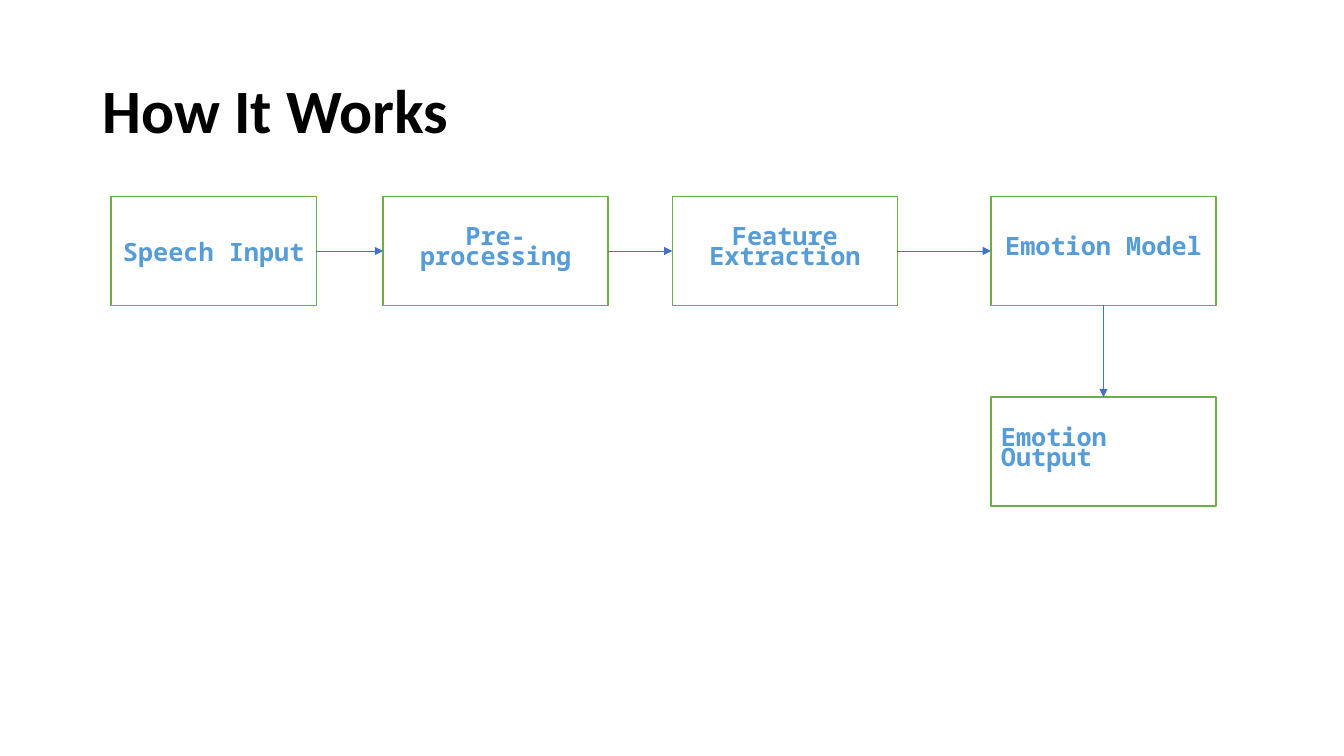
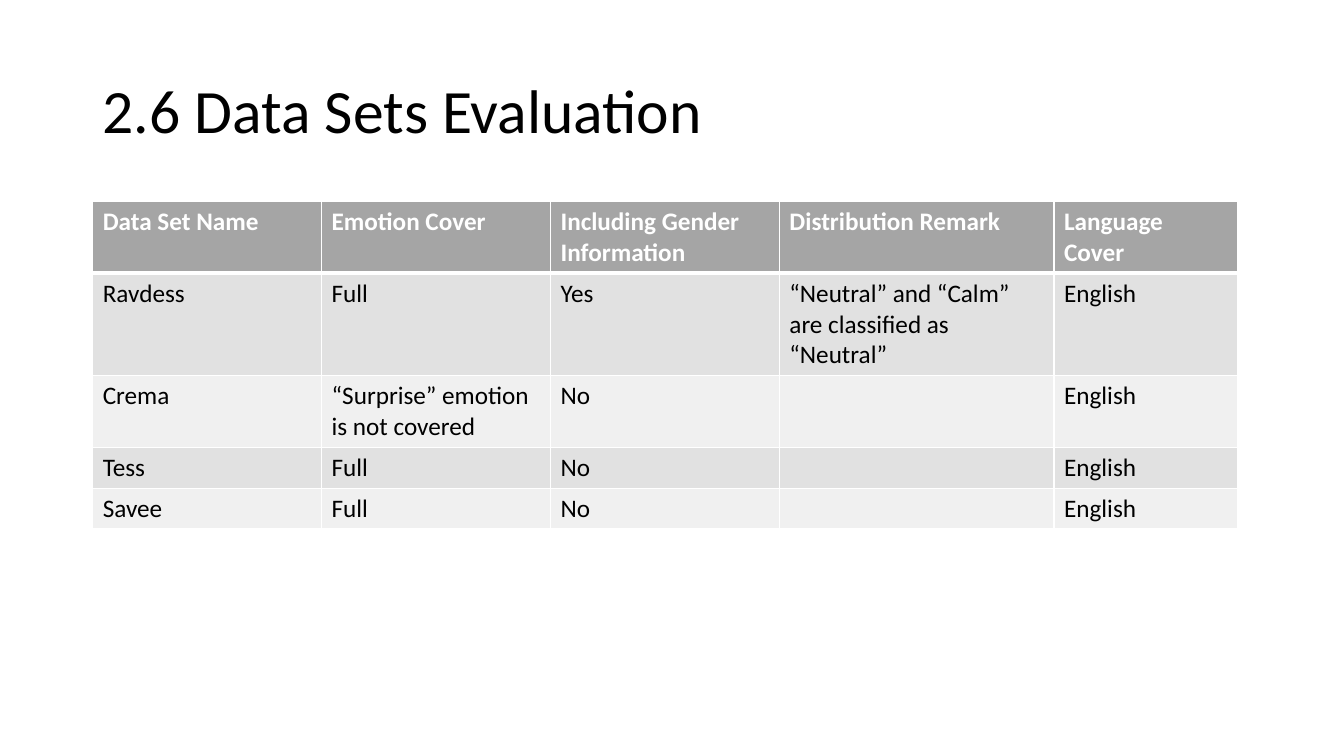
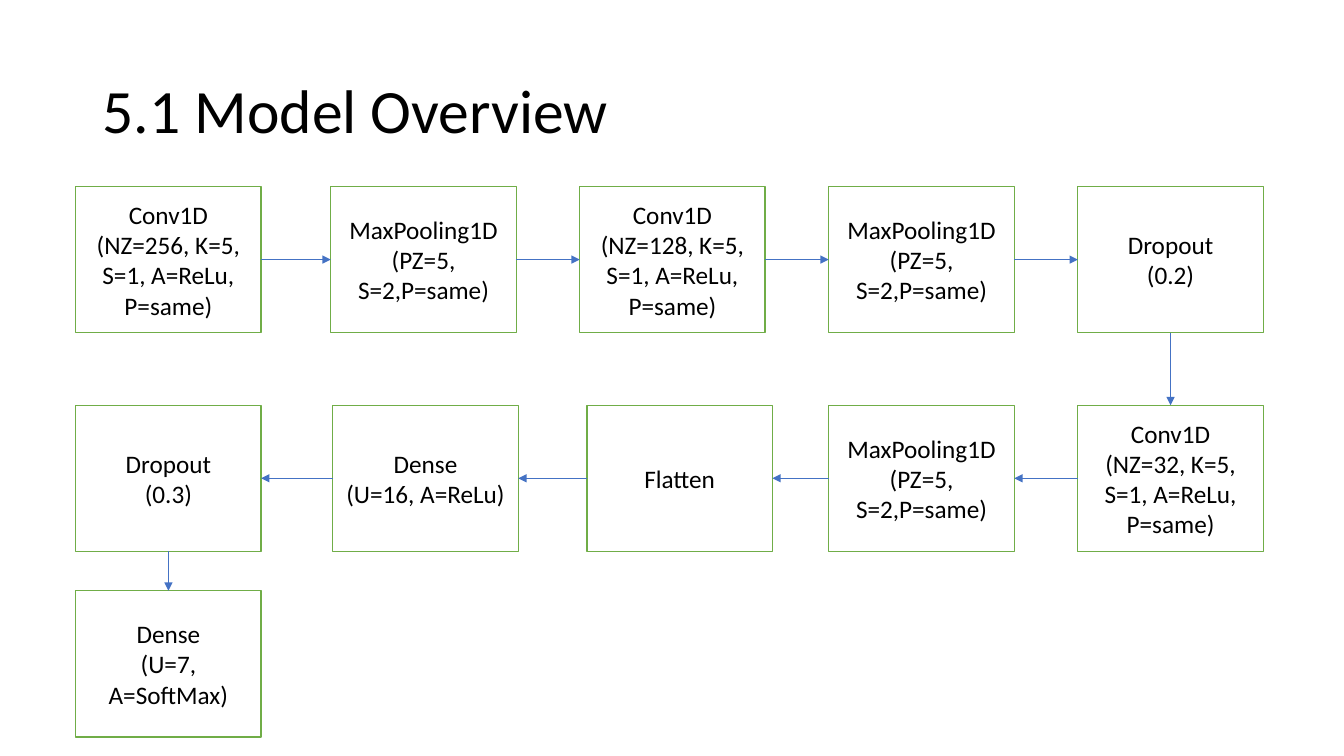
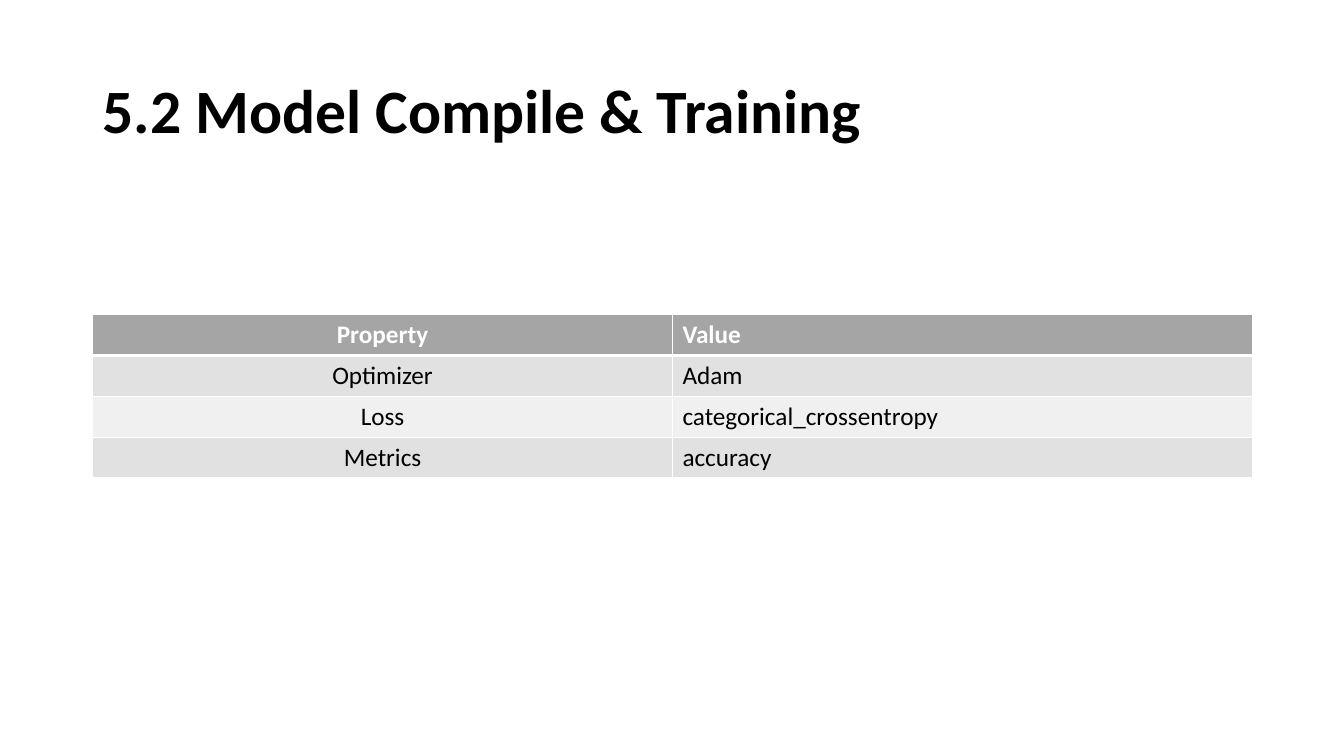
from dataclasses import dataclass

from lxml.etree import SubElement, Element
from pptx import Presentation
from pptx.dml.color import RGBColor
from pptx.enum.shapes import MSO_CONNECTOR as Connector, MSO_SHAPE as ShapeKind
from pptx.enum.text import MSO_ANCHOR as Anchor, MSO_AUTO_SIZE as AutoSize, PP_ALIGN as Align
from pptx.oxml.ns import qn
from pptx.util import Inches, Pt

BLACK, WHITE = "000000", "FFFFFF"
GREEN, BLUE, SKY = "70AD47", "4472C4", "569CD6"
HEADER, BANDS = "A5A5A5", ("E1E1E1", "F0F0F0")
BODY_FONT, CODE_FONT = "Calibri", "Noto Sans Mono"
TITLE_SIZE, TEXT_SIZE = 44, 18
ROW_HEIGHT = 5.41
TITLE_ONLY = 5
TOP, LEFT, BOTTOM, RIGHT = range(4)


@dataclass
class Box:
    left: float
    top: float
    width: float
    height: float

    def inner(self, left, top, width, height):
        return Box(
            self.left + self.width * left / 100,
            self.top + self.height * top / 100,
            self.width * width / 100,
            self.height * height / 100,
        )

    def frame(self):
        return [round(length) for length in (self.left, self.top, self.width, self.height)]


@dataclass
class Node:
    lines: tuple
    left: float
    top: float
    width: float
    align: Align = Align.CENTER
    spacing: object = None


@dataclass
class TextStyle:
    font: str = BODY_FONT
    color: str = BLACK
    bold: bool = False
    size: float = TEXT_SIZE


def color_of(hex_string):
    return RGBColor.from_string(hex_string)


def fill_with(target, color):
    target.fill.solid()
    target.fill.fore_color.rgb = color_of(color)


def add_run(paragraph, text, style):
    run = paragraph.add_run()
    run.text = text
    run.font.name = style.font
    run.font.size = Pt(style.size)
    run.font.bold = style.bold
    run.font.color.rgb = color_of(style.color)


def write_lines(text_frame, lines, style, align=Align.LEFT, spacing=None):
    for index, line in enumerate(lines):
        paragraph = text_frame.add_paragraph() if index else text_frame.paragraphs[0]
        paragraph.alignment = align
        paragraph.line_spacing = spacing
        add_run(paragraph, line, style)


def add_titled_slide(presentation, page, title, bold=False):
    slide = presentation.slides.add_slide(presentation.slide_layouts[TITLE_ONLY])
    shape = slide.shapes.title
    shape.left, shape.top, shape.width, shape.height = page.inner(6.9, 5.33, 86.27, 19.33).frame()
    text_frame = shape.text_frame
    text_frame.auto_size = AutoSize.NONE
    text_frame.vertical_anchor = Anchor.MIDDLE
    write_lines(text_frame, [title], TextStyle(bold=bold, size=TITLE_SIZE), spacing=0.9)
    return slide


def add_node(slide, box, node, style):
    shape = slide.shapes.add_shape(ShapeKind.RECTANGLE, *box.frame())
    shape.shadow.inherit = False
    fill_with(shape, WHITE)
    shape.line.color.rgb = color_of(GREEN)
    shape.line.width = Pt(1)
    shape.text_frame.word_wrap = True
    shape.text_frame.vertical_anchor = Anchor.MIDDLE
    write_lines(shape.text_frame, node.lines, style, node.align, node.spacing)
    return shape


def connection_sites(start, end):
    if end.top > start.top:
        return BOTTOM, TOP
    return (RIGHT, LEFT) if end.left > start.left else (LEFT, RIGHT)


def add_arrow(slide, start, end):
    arrow = slide.shapes.add_connector(Connector.STRAIGHT, 0, 0, 0, 0)
    start_site, end_site = connection_sites(start, end)
    arrow.begin_connect(start, start_site)
    arrow.end_connect(end, end_site)
    arrow.line.color.rgb = color_of(BLUE)
    arrow.line.width = Pt(0.5)
    properties = arrow.element.spPr
    SubElement(properties.find(qn("a:ln")), qn("a:tailEnd"), type="triangle")
    SubElement(properties, qn("a:effectLst"))


def add_flow(slide, box, nodes, node_height, style):
    shapes = [
        add_node(slide, box.inner(node.left, node.top, node.width, node_height), node, style)
        for node in nodes
    ]
    for start, end in zip(shapes, shapes[1:]):
        add_arrow(slide, start, end)


def set_borders(cell, widths):
    properties = cell._tc.get_or_add_tcPr()
    for index, (side, width) in enumerate(widths.items()):
        border = Element(qn("a:ln" + side), w=str(Pt(width)))
        fill = SubElement(border, qn("a:solidFill"))
        SubElement(fill, qn("a:srgbClr"), val=WHITE)
        properties.insert(index, border)


def add_grid(slide, box, rows, column_weights, column_aligns):
    table = slide.shapes.add_table(len(rows), len(column_weights), *box.frame()).table
    table.horz_banding = False
    for column, weight in zip(table.columns, column_weights):
        column.width = round(box.width * weight / sum(column_weights))
    for row_index, row in enumerate(rows):
        is_header = row_index == 0
        style = TextStyle(color=WHITE, bold=True) if is_header else TextStyle()
        fill = HEADER if is_header else BANDS[(row_index - 1) % len(BANDS)]
        borders = {"L": 1, "R": 1, "T": 3 if row_index == 1 else 1, "B": 3 if is_header else 1}
        for column_index, text in enumerate(row):
            cell = table.cell(row_index, column_index)
            fill_with(cell, fill)
            set_borders(cell, borders)
            if text:
                write_lines(cell.text_frame, [text], style, column_aligns[column_index])


def build_how_it_works(presentation, page):
    slide = add_titled_slide(presentation, page, "How It Works", bold=True)
    wide, tight = 20.35, Pt(14.2)
    last_column = 100 - wide
    nodes = [
        Node(("Speech Input",), 0, 0, 18.61),
        Node(("Pre-processing",), 24.64, 0, wide, spacing=tight),
        Node(("Feature Extraction",), 50.82, 0, wide, spacing=tight),
        Node(("Emotion Model",), last_column, 0, wide, spacing=tight),
        Node(("Emotion Output",), last_column, 64.82, wide, Align.LEFT, tight),
    ]
    style = TextStyle(CODE_FONT, SKY, bold=True)
    add_flow(slide, page.inner(8.25, 26, 82.22, 40.93), nodes, 35.18, style)


def build_data_sets(presentation, page):
    slide = add_titled_slide(presentation, page, "2.6 Data Sets Evaluation")
    rows = [
        ("Data Set Name", "Emotion Cover", "Including Gender Information",
         "Distribution Remark", "Language Cover"),
        ("Ravdess", "Full", "Yes", "“Neutral” and “Calm” are classified as “Neutral”", "English"),
        ("Crema", "“Surprise” emotion is not covered", "No", "", "English"),
        ("Tess", "Full", "No", "", "English"),
        ("Savee", "Full", "No", "", "English"),
    ]
    box = page.inner(6.9, 26.67, 85.15, ROW_HEIGHT * len(rows))
    add_grid(slide, box, rows, (5, 5, 5, 6, 4), [Align.LEFT] * 5)


def build_model_overview(presentation, page):
    slide = add_titled_slide(presentation, page, "5.1 Model Overview")
    width, height = 15.62, 26.56
    first, middle, last = 0, 39.74, 100 - height
    right = 100 - width
    pooling = ("MaxPooling1D", "(PZ=5, S=2,P=same)")
    layers = [
        (("Conv1D", "(NZ=256, K=5, S=1, A=ReLu, P=same)"), 0, first),
        (pooling, 21.48, first),
        (("Conv1D", "(NZ=128, K=5, S=1, A=ReLu, P=same)"), 42.44, first),
        (pooling, 63.41, first),
        (("Dropout", "(0.2)"), right, first),
        (("Conv1D", "(NZ=32, K=5, S=1, A=ReLu, P=same)"), right, middle),
        (pooling, 63.41, middle),
        (("Flatten",), 43.04, middle),
        (("Dense", "(U=16, A=ReLu)"), 21.65, middle),
        (("Dropout", "(0.3)"), 0, middle),
        (("Dense", "(U=7, A=SoftMax)"), 0, last),
    ]
    nodes = [Node(*layer, width) for layer in layers]
    add_flow(slide, page.inner(5.63, 24.67, 88.37, 72.8), nodes, height, TextStyle())


def build_model_training(presentation, page):
    slide = add_titled_slide(presentation, page, "5.2 Model Compile & Training", bold=True)
    rows = [
        ("Property", "Value"),
        ("Optimizer", "Adam"),
        ("Loss", "categorical_crossentropy"),
        ("Metrics", "accuracy"),
    ]
    box = page.inner(6.9, 41.6, 86.27, ROW_HEIGHT * len(rows))
    add_grid(slide, box, rows, (1, 1), (Align.CENTER, Align.LEFT))


def main():
    presentation = Presentation()
    presentation.slide_width = Inches(13.33)
    presentation.slide_height = Inches(7.5)
    page = Box(0, 0, presentation.slide_width, presentation.slide_height)
    for build in (build_how_it_works, build_data_sets, build_model_overview, build_model_training):
        build(presentation, page)
    presentation.save("out.pptx")


if __name__ == "__main__":
    main()
